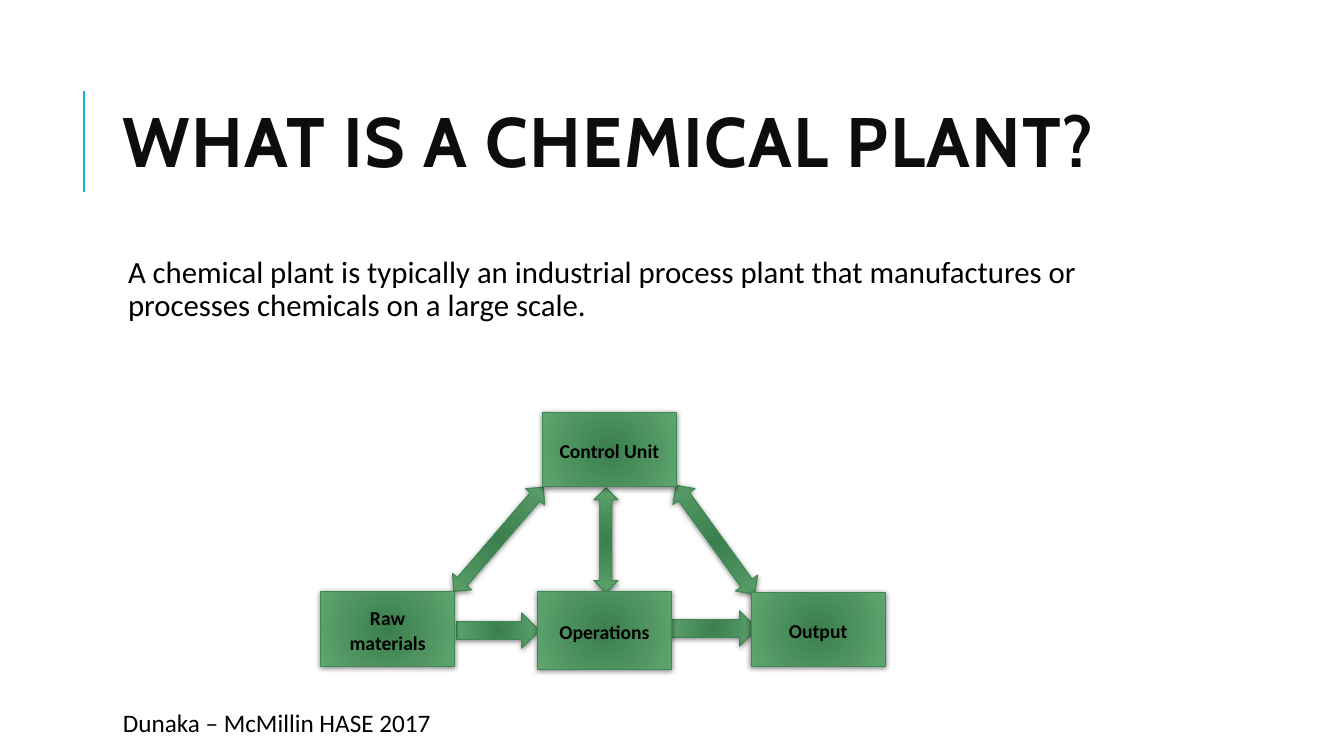
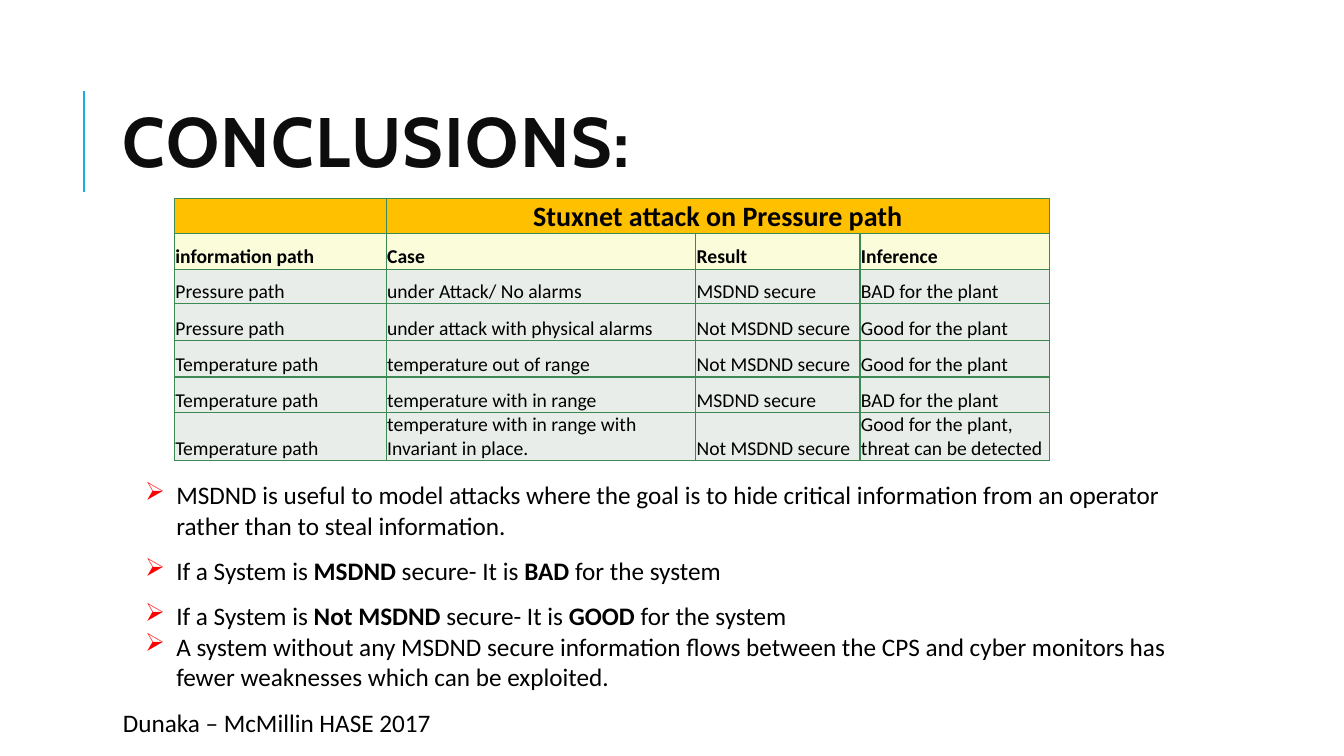
from lxml.etree import SubElement
from pptx import Presentation
from pptx.dml.color import RGBColor
from pptx.enum.shapes import MSO_CONNECTOR as LINK, MSO_SHAPE as SHAPE
from pptx.enum.text import MSO_ANCHOR as ANCHOR, PP_ALIGN as ALIGN
from pptx.oxml.ns import qn
from pptx.util import Inches, Pt

BLACK = RGBColor(0x00, 0x00, 0x00)
INK = RGBColor(0x0D, 0x0D, 0x0D)
BLUE = RGBColor(0x1C, 0xAD, 0xE4)
RED = RGBColor(0xFF, 0x00, 0x00)
DARK = RGBColor(0x3A, 0x7F, 0x4D)
LIGHT = RGBColor(0x5F, 0xA5, 0x6F)
EDGE = RGBColor(0x3E, 0x88, 0x53)
GOLD = RGBColor(0xFF, 0xC0, 0x00)
CREAM = RGBColor(0xFB, 0xFC, 0xDA)
GREY = RGBColor(0xE8, 0xED, 0xE9)
HEAD, BODY = "Cabin", "Calibri"
LEFT, WIDTH = 1.12, 10.63

COLS = [2.1, 3.07, 1.63, 1.88]
CASES = [
    (0.35, GOLD, 20, True, ["", "Stuxnet attack on Pressure path", "", ""]),
    (0.35, CREAM, 14, True, ["information path", "Case", "Result", "Inference"]),
    (0.34, GREY, 14, False,
     ["Pressure path", "under Attack/ No alarms", "MSDND secure", "BAD for the plant"]),
    (0.37, GREY, 14, False,
     ["Pressure path", "under attack with physical alarms", "Not MSDND secure", "Good for the plant"]),
    (0.36, GREY, 14, False,
     ["Temperature path", "temperature out of range", "Not MSDND secure", "Good for the plant"]),
    (0.35, GREY, 14, False,
     ["Temperature path", "temperature with in range", "MSDND secure", "BAD for the plant"]),
]
REMEDY = [
    (0.47, GREY, 14, False,
     ["Temperature path", "temperature with in range with Invariant in place.",
      "Not MSDND secure", "Good for the plant, threat can be detected"]),
]
POINTS = [
    (1, ["MSDND is useful to model attacks where the goal is to hide critical information "
         "from an operator rather than to steal information."]),
    (1.5, ["If a System is ", "MSDND", " secure- It is ", "BAD ", "for the system"]),
    (1.5, ["If a System is ", "Not MSDND ", "secure- It is ", "GOOD", " for the system"]),
    (1, ["A system without any MSDND secure information ﬂows between the CPS and cyber monitors "
         "has fewer weaknesses which can be exploited."]),
]
BOXES = [
    ("Raw materials", 0, 1.78, 0.74),
    ("Output", 4.27, 1.79, 0.73),
    ("Operations", 2.15, 1.78, 0.77),
    ("Control Unit", 2.2, 0, 0.74),
]
ARROWS = [
    (SHAPE.RIGHT_ARROW, 1.35, 1.99, 0.82, 0.35, 0),
    (SHAPE.RIGHT_ARROW, 3.46, 1.97, 0.87, 0.35, 0),
    (SHAPE.UP_DOWN_ARROW, 2.71, 0.75, 0.24, 1.04, 0),
    (SHAPE.UP_DOWN_ARROW, 1.64, 0.58, 0.25, 1.36, 40.7),
    (SHAPE.UP_DOWN_ARROW, 3.78, 0.6, 0.27, 1.33, 324.1),
]


def lengths(*vals):
    """Turn numbers into inches."""
    return [Inches(val) for val in vals]


def add(node, tag, **attrs):
    """Append a child element to a node."""
    return SubElement(node, qn(tag), attrs)


def style(run, size, bold=False, color=BLACK, face=BODY):
    """Set the font of a run."""
    font = run.font
    font.name, font.size, font.bold = face, Pt(size), bold
    font.color.rgb = color


def label(slide, box, text, size, wrap=True, **look):
    """Add a text box with one styled paragraph and return it."""
    shape = slide.shapes.add_textbox(*lengths(*box))
    shape.text_frame.word_wrap = wrap
    para = shape.text_frame.paragraphs[0]
    para.text = text
    style(para.runs[0], size, **look)
    return shape


def frame(deck, title):
    """Add a slide with its title, side rule and footer."""
    slide = deck.slides.add_slide(deck.slide_layouts[6])
    rule = slide.shapes.add_connector(LINK.STRAIGHT, *lengths(0.83, 1.9, 0.83, 0.9))
    rule.line.color.rgb, rule.line.width = BLUE, Pt(1.5)
    add(rule.element.spPr, "a:effectLst")
    label(slide, (LEFT, 6.97, 3.29, 0.4), "Dunaka – McMillin HASE 2017", 18, wrap=False)
    text = label(slide, (LEFT, 0.64, WIDTH, 1.64), title, 50,
                 bold=True, color=INK, face=HEAD).text_frame
    text.vertical_anchor = ANCHOR.MIDDLE
    para = text.paragraphs[0]
    para.line_spacing = 0.8
    para.runs[0].font._element.set("spc", "100")
    return slide


def intro(slide, box, text):
    """Add the opening statement."""
    body = label(slide, box, text, 22).text_frame
    body.margin_left, body.margin_right = lengths(0.15, 0.05)
    para = body.paragraphs[0]
    para.line_spacing, para.space_before, para.space_after = 0.9, Pt(12), Pt(2)


def block(slide, kind, box, turn=0):
    """Add a green shaded shape with a soft shadow."""
    shape = slide.shapes.add_shape(kind, *lengths(*box))
    shape.rotation = turn
    shape.fill.gradient()
    for stop, color in zip(shape.fill.gradient_stops, (DARK, LIGHT)):
        stop.color.rgb = color
    props = shape.element.spPr
    grad = props.find(qn("a:gradFill"))
    grad.remove(grad.find(qn("a:lin")))
    add(add(grad, "a:path", path="circle"), "a:fillToRect",
        **dict.fromkeys("ltrb", "100000"))
    shape.line.color.rgb, shape.line.width = EDGE, Pt(0.75)
    shape.shadow.inherit = False
    cast = add(props.find(qn("a:effectLst")), "a:outerShdw", blurRad=str(Pt(4)),
               dist=str(Pt(1)), dir="5400000", rotWithShape="0")
    add(add(cast, "a:srgbClr", val=str(BLACK)), "a:alpha", val="50000")
    return shape


def diagram(slide, x, y):
    """Draw the plant's units and the arrows between them."""
    for kind, dx, dy, w, h, turn in ARROWS:
        block(slide, kind, (x + dx, y + dy, w, h), turn)
    for name, dx, dy, h in BOXES:
        text = block(slide, SHAPE.RECTANGLE, (x + dx, y + dy, 1.33, h)).text_frame
        text.vertical_anchor = ANCHOR.MIDDLE
        para = text.paragraphs[0]
        para.text = name
        para.alignment = ALIGN.CENTER
        para.line_spacing, para.space_after = 1.07, Pt(8)
        style(para.runs[0], 14, bold=True)


def fill(cell, text, color, size, bold):
    """Fill one table cell and draw its borders."""
    props = cell._tc.get_or_add_tcPr()
    for side in "LRTB":
        line = add(props, f"a:ln{side}", w=str(Pt(1)))
        add(add(line, "a:solidFill"), "a:srgbClr", val=str(EDGE))
    cell.fill.solid()
    cell.fill.fore_color.rgb = color
    cell.vertical_anchor = ANCHOR.BOTTOM
    cell.margin_left = cell.margin_right = cell.margin_top = Inches(0.01)
    cell.margin_bottom = 0
    cell.text_frame.text = text
    for run in cell.text_frame.paragraphs[0].runs:
        style(run, size, bold)


def grid(slide, x, y, rows):
    """Add a table of results and return it."""
    high = sum(row[0] for row in rows)
    table = slide.shapes.add_table(
        len(rows), len(COLS), *lengths(x, y, sum(COLS), high)).table
    table.first_row = table.horz_banding = False
    for col, width in zip(table.columns, COLS):
        col.width = Inches(width)
    for r, (height, color, size, bold, texts) in enumerate(rows):
        table.rows[r].height = Inches(height)
        for c, text in enumerate(texts):
            fill(table.cell(r, c), text, color, size, bold)
    return table


def results(slide, x, y):
    """Add the cases under a merged heading, and the remedy below them."""
    top = grid(slide, x, y, CASES).cell(0, 1)
    top.merge(top._tc.tbl is not None and slide.shapes[-1].table.cell(0, 3))
    top.text_frame.paragraphs[0].alignment = ALIGN.CENTER
    grid(slide, x, y + sum(row[0] for row in CASES), REMEDY)


def points(slide, box):
    """Add the bulleted findings, with every second run bold."""
    text = slide.shapes.add_textbox(*lengths(*box)).text_frame
    text.word_wrap = True
    for i, (gap, parts) in enumerate(POINTS):
        para = text.add_paragraph() if i else text.paragraphs[0]
        para.line_spacing = gap
        props = para._p.get_or_add_pPr()
        props.set("marL", str(Inches(0.31)))
        props.set("indent", str(-Inches(0.31)))
        add(add(props, "a:buClr"), "a:srgbClr", val=str(RED))
        add(props, "a:buChar", char="➢")
        for j, part in enumerate(parts):
            run = para.add_run()
            run.text = part
            style(run, 18, bold=j % 2 == 1)


def main():
    """Build and save the deck."""
    deck = Presentation()
    deck.slide_width, deck.slide_height = lengths(13.33, 7.5)
    plant = frame(deck, "WHAT IS A CHEMICAL PLANT?")
    intro(plant, (LEFT, 2.5, WIDTH, 4.4),
          "A chemical plant is typically an industrial process plant that manufactures "
          "or processes chemicals on a large scale.")
    diagram(plant, 3.18, 4.09)
    ending = frame(deck, "CONCLUSIONS:")
    results(ending, 1.73, 1.97)
    points(ending, (1.34, 4.71, 10.65, 2.22))
    deck.save("out.pptx")


if __name__ == "__main__":
    main()
